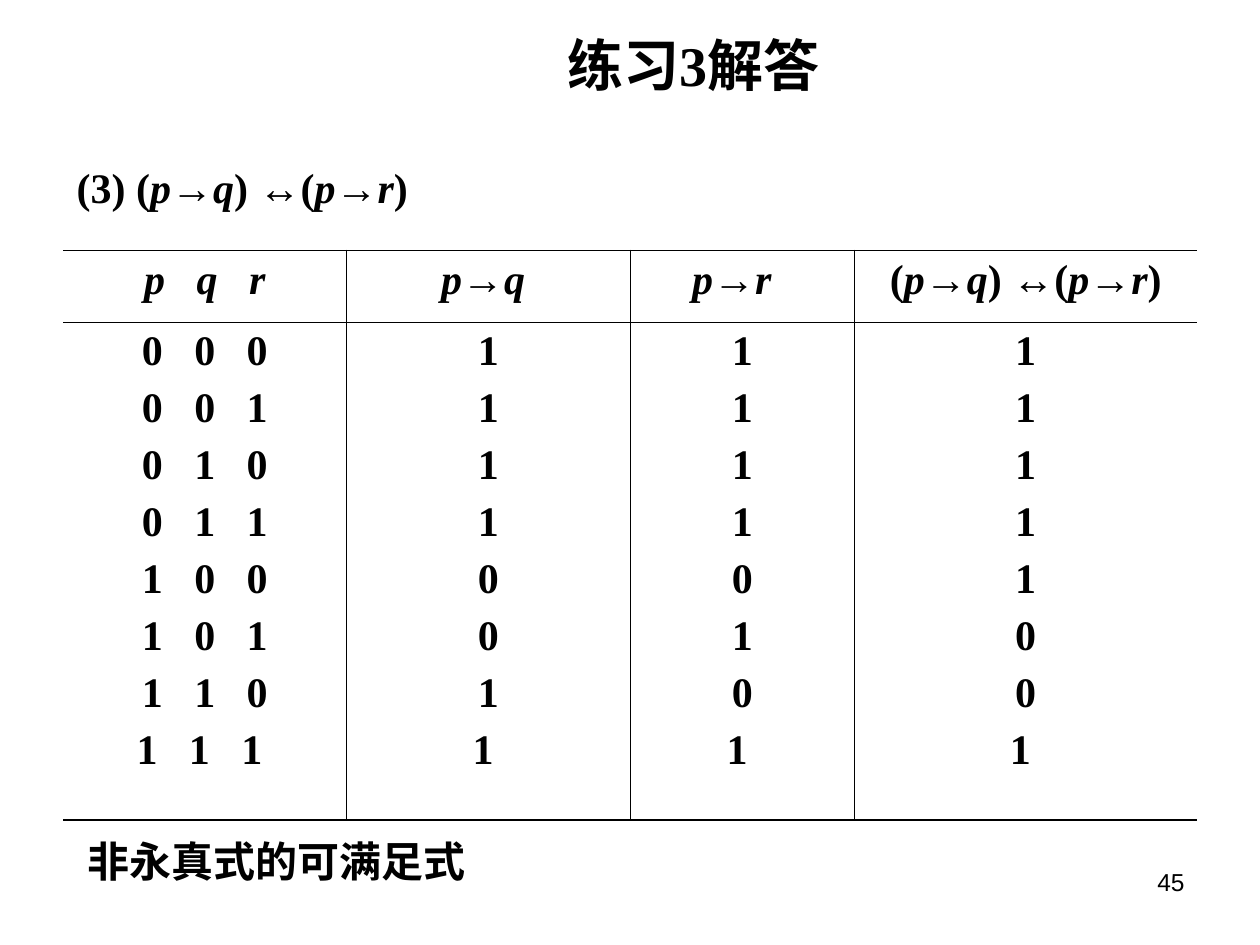
from dataclasses import dataclass
from itertools import groupby, product

from lxml.etree import SubElement
from pptx import Presentation
from pptx.dml.color import RGBColor
from pptx.enum.text import MSO_ANCHOR, MSO_AUTO_SIZE, PP_ALIGN
from pptx.oxml.ns import qn
from pptx.util import Inches, Pt


@dataclass(frozen=True)
class Theme:
    ink: str = "000000"
    serif: str = "Times New Roman"
    sans: str = "Arial"
    title: int = 32
    body: int = 24
    number: int = 14
    row_gap: int = 6
    thick: float = 1.08
    thin: float = 0.45


@dataclass(frozen=True)
class Box:
    """A place on the slide, as shares of its width and height."""
    x: float
    y: float
    w: float
    h: float

    def emu(self) -> tuple:
        return (int(self.x * WIDTH), int(self.y * HEIGHT),
                int(self.w * WIDTH), int(self.h * HEIGHT))


@dataclass(frozen=True)
class Column:
    head: str
    share: float
    values: list


T = Theme()
WIDTH, HEIGHT = Inches(10), Inches(7.5)
FORMULA = "(p→q) ↔(p→r)"
TITLE_BOX = Box(0.216, 0.037, 0.669, 0.061)
FORMULA_BOX = Box(0.051, 0.164, 0.504, 0.067)
TABLE_BOX = Box(0.05, 0.265, 0.9, 0.603)
VERDICT_BOX = Box(0.06, 0.877, 0.32, 0.067)
NUMBER_BOX = Box(0.717, 0.911, 0.233, 0.069)
HEAD_SHARE = 0.126


def add_run(p, text: str, size: float, font: str, bold=True, italic=False) -> None:
    r = p.add_run()
    r.text = text
    r.font.size, r.font.name = Pt(size), font
    r.font.bold, r.font.italic = bold, italic
    r.font.color.rgb = RGBColor.from_string(T.ink)


def add_formula(p, text: str) -> None:
    """Variables are italic, arrows sans; a space keeps the style before it."""
    styles, style = [], (T.serif, False)
    for ch in text:
        if ch != " ":
            style = (T.sans if ch in "→↔" else T.serif, ch in "pqr")
        styles.append((ch, style))
    for (font, italic), chars in groupby(styles, key=lambda pair: pair[1]):
        add_run(p, "".join(ch for ch, _ in chars), T.body, font, italic=italic)


def add_text_box(s, box: Box, wrap=True, anchor=MSO_ANCHOR.TOP):
    tf = s.shapes.add_textbox(*box.emu()).text_frame
    tf.word_wrap = wrap
    tf.vertical_anchor = anchor
    return tf.paragraphs[0]


def set_borders(cell, widths: dict) -> None:
    """Give each side its width in points; 0 means no line."""
    tc_pr = cell._tc.get_or_add_tcPr()
    for i, side in enumerate(("lnL", "lnR", "lnT", "lnB")):
        ln = SubElement(tc_pr, qn(f"a:{side}"), w=str(Pt(widths[side])))
        if widths[side]:
            fill = SubElement(ln, qn("a:solidFill"))
            SubElement(fill, qn("a:srgbClr"), val=T.ink)
        else:
            SubElement(ln, qn("a:noFill"))
        tc_pr.insert(i, ln)


def fill_cell(cell, lines: list) -> None:
    cell.fill.background()
    tf = cell.text_frame
    for i, line in enumerate(lines):
        p = tf.paragraphs[0] if i == 0 else tf.add_paragraph()
        p.alignment = PP_ALIGN.CENTER
        p.space_before = Pt(T.row_gap)
        add_formula(p, line)


def add_truth_table(s, box: Box, columns: list) -> None:
    x, y, w, h = box.emu()
    table = s.shapes.add_table(2, len(columns), x, y, w, h).table
    table.first_row = table.horz_banding = False
    table.rows[0].height = int(h * HEAD_SHARE)
    table.rows[1].height = h - table.rows[0].height
    last = len(columns) - 1
    for c, column in enumerate(columns):
        table.columns[c].width = int(w * column.share)
        for row, lines in enumerate(([column.head], column.values)):
            cell = table.cell(row, c)
            fill_cell(cell, lines)
            set_borders(cell, {
                "lnL": T.thin if c > 0 else 0,
                "lnR": T.thin if c < last else 0,
                "lnT": T.thin if row else T.thick,
                "lnB": T.thick if row else T.thin,
            })


def truth_columns() -> list:
    """Work out the truth values of both implications and their equivalence."""
    cases = list(product((0, 1), repeat=3))
    p_q = [int(not p or q) for p, q, _ in cases]
    p_r = [int(not p or r) for p, _, r in cases]
    same = [int(a == b) for a, b in zip(p_q, p_r)]

    def lines(values: list) -> list:
        texts = [str(v) for v in values]
        return texts[:-1] + [texts[-1] + " "]

    return [
        Column("p   q   r", 0.25, lines(["   ".join(map(str, case)) for case in cases])),
        Column("p→q ", 0.25, lines(p_q)),
        Column("p→r  ", 0.198, lines(p_r)),
        Column(FORMULA, 0.302, lines(same)),
    ]


def main() -> None:
    prs = Presentation()
    prs.slide_width, prs.slide_height = WIDTH, HEIGHT
    s = prs.slides.add_slide(prs.slide_layouts[5])

    # Title
    sp = s.shapes.title
    sp.left, sp.top, sp.width, sp.height = TITLE_BOX.emu()
    tf = sp.text_frame
    tf.auto_size = MSO_AUTO_SIZE.NONE
    tf.vertical_anchor = MSO_ANCHOR.MIDDLE
    p = tf.paragraphs[0]
    p.alignment = PP_ALIGN.CENTER
    add_run(p, "练习", T.title, T.sans)
    add_run(p, "3解答", T.title, T.serif)

    # Formula, its truth table and the verdict
    add_formula(add_text_box(s, FORMULA_BOX), "(3) " + FORMULA)
    add_truth_table(s, TABLE_BOX, truth_columns())
    p = add_text_box(s, VERDICT_BOX, wrap=False, anchor=MSO_ANCHOR.MIDDLE)
    add_run(p, "非永真式的可满足式", T.body, T.serif)

    # Page number
    p = add_text_box(s, NUMBER_BOX)
    p.alignment = PP_ALIGN.RIGHT
    add_run(p, "45", T.number, T.sans, bold=False)

    prs.save("out.pptx")


if __name__ == "__main__":
    main()
